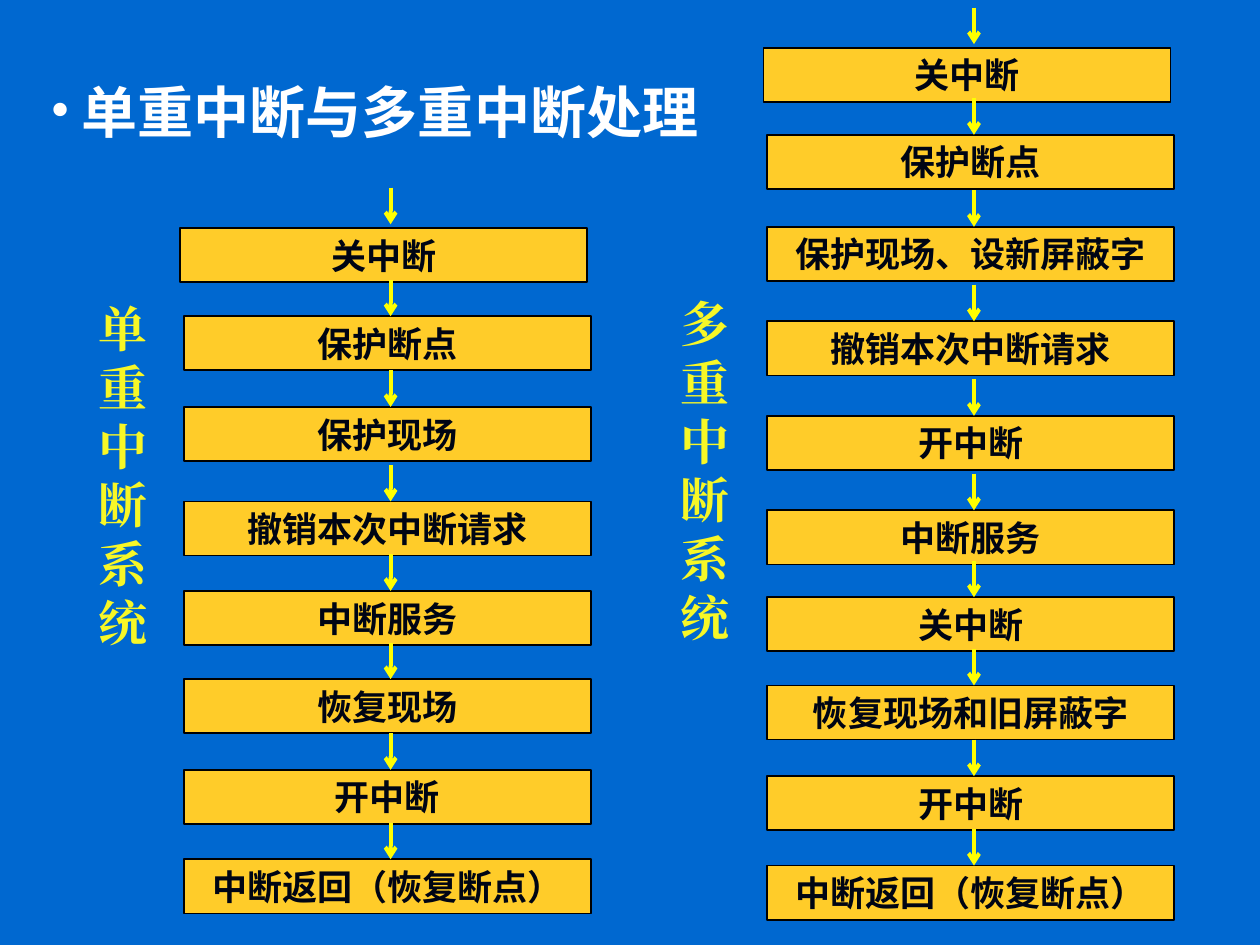
"""Build the slide comparing single and multiple interrupt handling."""
from lxml.etree import SubElement
from pptx import Presentation
from pptx.dml.color import RGBColor as RGB
from pptx.enum.shapes import MSO_CONNECTOR as LINE, MSO_SHAPE as SHAPE
from pptx.enum.text import MSO_ANCHOR as ANCHOR, PP_ALIGN as ALIGN
from pptx.oxml.ns import qn
from pptx.util import Inches, Pt

COLORS = {"bg": "0068D0", "box": "FFCC29", "edge": "000000", "text": "000514",
          "arrow": "FFFF00", "label": "F7F727", "title": "FFFFFF"}
COLORS = {name: RGB.from_string(value) for name, value in COLORS.items()}
SANS, SERIF = "Noto Sans CJK JP", "Times New Roman"

prs = Presentation()
prs.slide_width, prs.slide_height = Inches(10), Inches(7.5)
COL, ROW = prs.slide_width / 100, prs.slide_height / 75


def cell(x, y, *size):
    return [int(n * unit) for n, unit in zip((x, y, *size), (COL, ROW) * 2)]


def write(p, text, size, font, color):
    r = p.add_run()
    r.text = text
    r.font.size, r.font.name, r.font.bold = Pt(size), font, True
    r.font.color.rgb = COLORS[color]
    SubElement(r.font._element, qn("a:ea"), typeface=font)


s = prs.slides.add_slide(prs.slide_layouts[5])
s.background.fill.solid()
s.background.fill.fore_color.rgb = COLORS["bg"]

title = s.shapes.title
title.left, title.top, title.width, title.height = cell(3, 6.9, 76.4, 5.1)
tf = title.text_frame
tf.vertical_anchor = ANCHOR.TOP
p = tf.paragraphs[0]
p.alignment, p.line_spacing, p.space_before = ALIGN.LEFT, 0.75, Pt(0)
pPr = p._p.get_or_add_pPr()
pPr.set("marL", str(int(2.5 * COL)))
pPr.set("indent", str(int(-2.5 * COL)))
SubElement(pPr, qn("a:buFont"), typeface="Times New Roman")
SubElement(pPr, qn("a:buChar"), char="•")
write(p, "单重中断与多重中断处理", 32, SANS, "title")

flows = [
    ("多重中断系统", 51.7, 22.8, 60.9, 77.3, [
        ("关中断", 3.8), ("保护断点", 10.7), ("保护现场、设新屏蔽字", 18),
        ("撤销本次中断请求", 25.5), ("开中断", 33), ("中断服务", 40.5),
        ("关中断", 47.4), ("恢复现场和旧屏蔽字", 54.4), ("开中断", 61.6),
        ("中断返回（恢复断点）", 68.7)]),
    ("单重中断系统", 5.5, 23.2, 14.6, 31, [
        ("关中断", 18.1), ("保护断点", 25.1), ("保护现场", 32.3),
        ("撤销本次中断请求", 39.8), ("中断服务", 46.9), ("恢复现场", 53.9),
        ("开中断", 61.1), ("中断返回（恢复断点）", 68.2)]),
]

for label, label_x, label_y, box_x, arrow_x, steps in flows:
    for i, (text, y) in enumerate(steps):
        shift = 0.3 if i == 0 else 0
        sp = s.shapes.add_shape(SHAPE.RECTANGLE, *cell(box_x - shift, y, 32.3, 4.3))
        sp.shadow.inherit = False
        sp.fill.solid()
        sp.fill.fore_color.rgb = COLORS["box"]
        sp.line.color.rgb, sp.line.width = COLORS["edge"], Pt(1)
        tf = sp.text_frame
        tf.vertical_anchor = ANCHOR.MIDDLE
        p = tf.paragraphs[0]
        p.alignment = ALIGN.CENTER
        write(p, text, 20, SANS, "text")

    for i, (text, y) in enumerate(steps):
        end = y - 0.3 if i == 0 else y
        arrow = s.shapes.add_connector(
            LINE.STRAIGHT, *cell(arrow_x, end - 2.9), *cell(arrow_x, end))
        arrow.line.color.rgb, arrow.line.width = COLORS["arrow"], Pt(2.25)
        SubElement(arrow.line._get_or_add_ln(), qn("a:tailEnd"), type="arrow")
        SubElement(arrow._element.spPr, qn("a:effectLst"))

    tf = s.shapes.add_textbox(*cell(label_x, label_y, 8.5, 29)).text_frame
    tf.word_wrap = True
    p = tf.paragraphs[0]
    p.alignment = ALIGN.CENTER
    write(p, label, 28, SERIF, "label")

prs.save("out.pptx")
